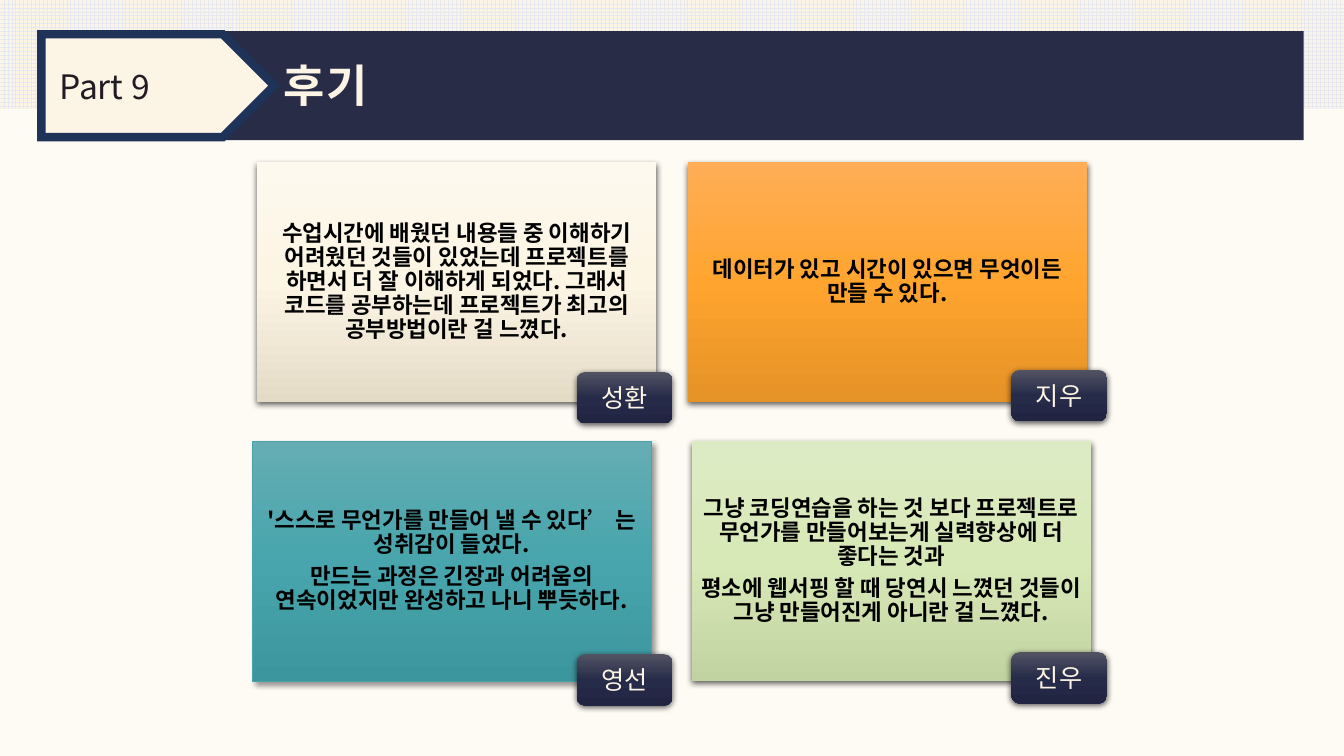
from copy import deepcopy

from lxml import etree
from pptx import Presentation
from pptx.dml.color import RGBColor
from pptx.enum.dml import MSO_PATTERN
from pptx.enum.shapes import MSO_SHAPE
from pptx.enum.text import MSO_ANCHOR, MSO_AUTO_SIZE, PP_ALIGN
from pptx.oxml.ns import qn
from pptx.util import Pt

RECT, ROUNDED, PENTAGON = MSO_SHAPE.RECTANGLE, MSO_SHAPE.ROUNDED_RECTANGLE, MSO_SHAPE.PENTAGON
LARGE_GRID = MSO_PATTERN.LARGE_GRID
MIDDLE, TOP = MSO_ANCHOR.MIDDLE, MSO_ANCHOR.TOP
CENTER, LEFT = PP_ALIGN.CENTER, PP_ALIGN.LEFT
NO_FIT, GROW = MSO_AUTO_SIZE.NONE, MSO_AUTO_SIZE.SHAPE_TO_FIT_TEXT

PAPER = RGBColor(0xFE, 0xFB, 0xF5)
CREAM = RGBColor(0xFC, 0xF5, 0xE5)
GRID = RGBColor(0xE5, 0xE7, 0xF1)
NAVY = RGBColor(0x28, 0x2C, 0x47)
BORDER = RGBColor(0x1F, 0x33, 0x59)
INK = RGBColor(0x23, 0x1B, 0x23)
BLACK = RGBColor(0, 0, 0)
TEAL_LINE = RGBColor(0x4D, 0xA1, 0xA8)
IVORY = RGBColor(0xFD, 0xF9, 0xEE), RGBColor(0xFD, 0xF5, 0xE4), RGBColor(0xE4, 0xDB, 0xC7)
ORANGE = RGBColor(0xFF, 0xAE, 0x57), RGBColor(0xFF, 0xA4, 0x2F), RGBColor(0xE5, 0x92, 0x27)
TEAL = RGBColor(0x65, 0xAD, 0xB3), RGBColor(0x48, 0xA5, 0xAD), RGBColor(0x3C, 0x96, 0x9D)
GREEN = RGBColor(0xDD, 0xEB, 0xC4), RGBColor(0xD8, 0xE9, 0xB8), RGBColor(0xC1, 0xD3, 0xA0)
NIGHT = RGBColor(0x52, 0x54, 0x63), RGBColor(0x26, 0x2B, 0x49), RGBColor(0x21, 0x25, 0x42)

PX = 9144
KR, JP = "Noto Sans CJK KR", "Noto Sans CJK JP"
SOFT = {"alpha": 63, "blur": 4.5, "dist": 1.5, "angle": 90}
SLANTED = {"alpha": 40, "blur": 4, "dist": 3, "angle": 45}
CARD_SIZE, TAG_SIZE = (396, 238), (95, 51)

TITLE, PART = "후기", "Part 9"
REVIEWS = [
    {"name": "성환", "card": (255, 161), "tag": (572, 369), "colors": IVORY,
     "shadow": SOFT, "line": None,
     "review": ["수업시간에 배웠던 내용들 중 이해하기 어려웠던 것들이 있었는데 프로젝트를 하면서 더 잘 "
                "이해하게 되었다. 그래서 코드를 공부하는데 프로젝트가 최고의 공부방법이란 걸 느꼈다."]},
    {"name": "지우", "card": (682, 161), "tag": (1003, 367), "colors": ORANGE,
     "shadow": SOFT, "line": None,
     "review": ["데이터가 있고 시간이 있으면 무엇이든 만들 수 있다."]},
    {"name": "영선", "card": (250, 438), "tag": (572, 649), "colors": TEAL,
     "shadow": SLANTED, "line": TEAL_LINE,
     "review": ["'스스로 무언가를 만들어 낼 수 있다’ 는 성취감이 들었다.",
                "만드는 과정은 긴장과 어려움의 연속이었지만 완성하고 나니 뿌듯하다."]},
    {"name": "진우", "card": (686, 438), "tag": (1003, 647), "colors": GREEN,
     "shadow": SOFT, "line": None,
     "review": ["그냥 코딩연습을 하는 것 보다 프로젝트로 무언가를 만들어보는게 실력향상에 더 좋다는 것과",
                "평소에 웹서핑 할 때 당연시 느꼈던 것들이 그냥 만들어진게 아니란 걸 느꼈다."]},
]

TITLE_FORMAT = {
    "frame": {"vertical_anchor": MIDDLE, "word_wrap": True, "auto_size": NO_FIT},
    "paragraph": {"alignment": LEFT, "line_spacing": 0.9},
    "font": {"size": Pt(32), "bold": True}, "face": KR, "color": CREAM}
PART_FORMAT = {
    "frame": {"vertical_anchor": TOP, "word_wrap": True, "auto_size": GROW},
    "paragraph": {"alignment": LEFT},
    "font": {"size": Pt(24)}, "face": KR, "color": INK}
REVIEW_FORMAT = {
    "frame": {"vertical_anchor": MIDDLE, "word_wrap": True,
              "margin_left": 7 * PX, "margin_right": 7 * PX,
              "margin_top": 7 * PX, "margin_bottom": 7 * PX},
    "paragraph": {"alignment": CENTER, "line_spacing": 0.9, "space_after": Pt(5.6)},
    "font": {"size": Pt(16), "bold": True}, "face": JP, "color": BLACK}
TAG_FORMAT = {
    "frame": {"vertical_anchor": MIDDLE, "word_wrap": True},
    "paragraph": {"alignment": CENTER},
    "font": {"size": Pt(18)}, "face": JP, "color": CREAM}


def apply(target, values):
    for key, value in values.items():
        setattr(target, key, value)


def place(*lengths):
    return [length * PX for length in lengths]


def write(shape, lines, style):
    frame = shape.text_frame
    apply(frame, style["frame"])
    for index, line in enumerate(lines):
        paragraph = frame.add_paragraph() if index else frame.paragraphs[0]
        apply(paragraph, style["paragraph"])
        run = paragraph.add_run()
        run.text = line
        apply(run.font, style["font"])
        run.font.color.rgb = style["color"]
        run.font.name = style["face"]
        etree.SubElement(run.font._element, qn("a:ea"), typeface=style["face"])


def add_block(kind, at, fill=None, line=None, width=0.5):
    block = slide.shapes.add_shape(kind, *place(*at))
    block.shadow.inherit = False
    if fill is not None:
        block.fill.solid()
        block.fill.fore_color.rgb = fill
    if line is None:
        block.line.fill.background()
    else:
        block.line.color.rgb = line
        block.line.width = Pt(width)
    return block


def add_shaded(kind, at, colors, shadow, line=None):
    block = add_block(kind, at, line=line)
    block.fill.gradient()
    block.fill.gradient_angle = 270
    properties = block._element.spPr
    stop_list = properties.find(".//" + qn("a:gsLst"))
    stop_list.append(deepcopy(stop_list[0]))
    for index, (stop, color) in enumerate(zip(block.fill.gradient_stops, colors)):
        stop.position = index / 2
        stop.color.rgb = color
    outer = etree.SubElement(
        properties.find(qn("a:effectLst")), qn("a:outerShdw"),
        blurRad=str(int(Pt(shadow["blur"]))), dist=str(int(Pt(shadow["dist"]))),
        dir=str(shadow["angle"] * 60000), algn="ctr", rotWithShape="0")
    tint = etree.SubElement(outer, qn("a:srgbClr"), val=str(BLACK))
    etree.SubElement(tint, qn("a:alpha"), val=str(shadow["alpha"] * 1000))
    return block


deck = Presentation()
deck.slide_width, deck.slide_height = place(1333, 750)
slide = deck.slides.add_slide(deck.slide_layouts[5])
slide.background.fill.solid()
slide.background.fill.fore_color.rgb = PAPER

grid_band = add_block(RECT, (0, 0, 1333, 108))
grid_band.fill.patterned()
grid_band.fill.pattern = LARGE_GRID
grid_band.fill.fore_color.rgb = GRID
grid_band.fill.back_color.rgb = CREAM
add_block(RECT, (38, 31, 1255, 108), NAVY)

heading = slide.shapes.title
apply(heading, dict(zip(("left", "top", "width", "height"), place(271, 55, 992, 64))))
write(heading, [TITLE], TITLE_FORMAT)
heading.text_frame.paragraphs[0].runs[0].font._element.set("spc", "150")
heading._element.getparent().append(heading._element)

part_arrow = add_block(PENTAGON, (41, 34, 231, 102), CREAM, BORDER, 6)
etree.SubElement(part_arrow._element.spPr.find(qn("a:ln")), qn("a:miter"), lim="800000")
part_label = slide.shapes.add_textbox(*place(49, 60, 172, 50))
write(part_label, [PART], PART_FORMAT)

for entry in REVIEWS:
    card = add_shaded(RECT, entry["card"] + CARD_SIZE, entry["colors"], entry["shadow"], entry["line"])
    write(card, entry["review"], REVIEW_FORMAT)
for entry in REVIEWS:
    tag = add_shaded(ROUNDED, entry["tag"] + TAG_SIZE, NIGHT, SOFT)
    write(tag, [entry["name"]], TAG_FORMAT)

deck.save("out.pptx")
